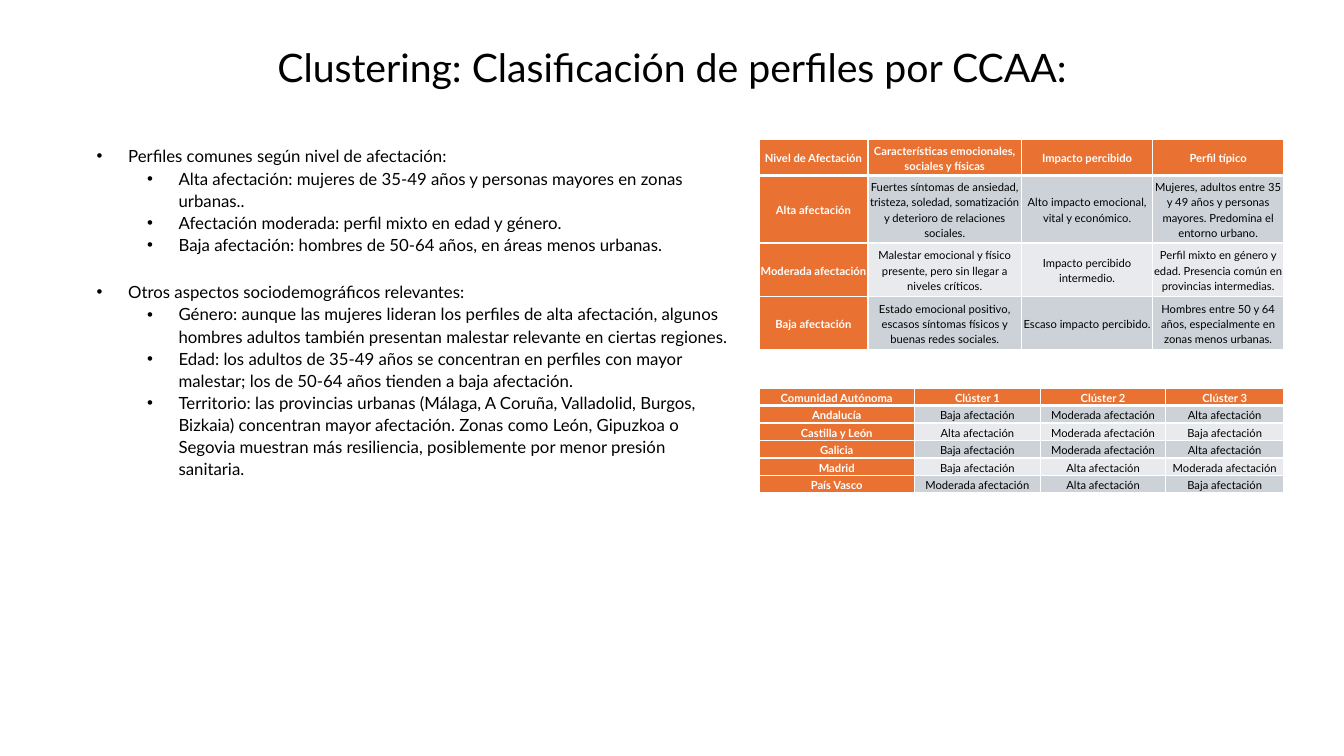
from lxml.etree import SubElement
from pptx import Presentation
from pptx.dml.color import RGBColor
from pptx.enum.text import MSO_ANCHOR, PP_ALIGN
from pptx.oxml.ns import qn
from pptx.util import Pt

FONT = "Lato"
BLACK = "000000"
WHITE = "FFFFFF"
ORANGE = "E97132"
BANDS = ["CCD2D8", "E8EAED"]
SECTION_GAP = 18

PROFILE_NOTES = [
    ("Perfiles comunes según nivel de afectación:", [
        "Alta afectación: mujeres de 35-49 años y personas mayores en zonas urbanas..",
        "Afectación moderada: perfil mixto en edad y género.",
        "Baja afectación: hombres de 50-64 años, en áreas menos urbanas.",
    ]),
    ("Otros aspectos sociodemográficos relevantes:", [
        "Género: aunque las mujeres lideran los perfiles de alta afectación, algunos "
        "hombres adultos también presentan malestar relevante en ciertas regiones.",
        "Edad: los adultos de 35-49 años se concentran en perfiles con mayor malestar; "
        "los de 50-64 años tienden a baja afectación.",
        "Territorio: las provincias urbanas (Málaga, A Coruña, Valladolid, Burgos, Bizkaia) "
        "concentran mayor afectación. Zonas como León, Gipuzkoa o Segovia muestran más "
        "resiliencia, posiblemente por menor presión sanitaria.",
    ]),
]

LEVEL_ROWS = [
    ["Nivel de Afectación", "Características emocionales, sociales y físicas",
     "Impacto percibido", "Perfil típico"],
    ["Alta afectación",
     "Fuertes síntomas de ansiedad, tristeza, soledad, somatización y deterioro de "
     "relaciones sociales.",
     "Alto impacto emocional, vital y económico.",
     "Mujeres, adultos entre 35 y 49 años y personas mayores. Predomina el entorno urbano."],
    ["Moderada afectación",
     "Malestar emocional y físico presente, pero sin llegar a niveles críticos.",
     "Impacto percibido intermedio.",
     "Perfil mixto en género y edad. Presencia común en provincias intermedias."],
    ["Baja afectación",
     "Estado emocional positivo, escasos síntomas físicos y buenas redes sociales.",
     "Escaso impacto percibido.",
     "Hombres entre 50 y 64 años, especialmente en zonas menos urbanas."],
]

LOW, MODERATE, HIGH = "Baja afectación", "Moderada afectación", "Alta afectación"
CLUSTER_ROWS = [
    ["Comunidad Autónoma", "Clúster 1", "Clúster 2", "Clúster 3"],
    ["Andalucía", LOW, MODERATE, HIGH],
    ["Castilla y León", HIGH, MODERATE, LOW],
    ["Galicia", LOW, MODERATE, HIGH],
    ["Madrid", LOW, HIGH, MODERATE],
    ["País Vasco", MODERATE, HIGH, LOW],
]


def color(value):
    """Turn a hex string into a colour."""
    return RGBColor.from_string(value)


def format_paragraph(paragraph, size, hex_color, spacing, bold=False):
    """Set line spacing and the font of every run."""
    paragraph.line_spacing = spacing
    for run in paragraph.runs:
        run.font.name = FONT
        run.font.size = Pt(size)
        run.font.bold = bold
        run.font.color.rgb = color(hex_color)


def add_text_box(slide, left, top, width, height):
    """Add a wrapping text box and return its text frame."""
    text_frame = slide.shapes.add_textbox(Pt(left), Pt(top), Pt(width), Pt(height)).text_frame
    text_frame.word_wrap = True
    return text_frame


def add_title(slide, text):
    """Add the centred title, anchored to the bottom of its box."""
    text_frame = add_text_box(slide, 0, -57.6, 960, 126)
    text_frame.vertical_anchor = MSO_ANCHOR.BOTTOM
    text_frame.text = text
    paragraph = text_frame.paragraphs[0]
    paragraph.alignment = PP_ALIGN.CENTER
    format_paragraph(paragraph, 28, BLACK, 0.9)


def format_bullet(paragraph, text, level):
    """Write one bulleted line at the given level."""
    paragraph.text = text
    paragraph.level = level
    properties = paragraph._p.get_or_add_pPr()
    properties.set("marL", str(Pt(22.5 + 36 * level)))
    properties.set("indent", str(Pt(-22.5)))
    SubElement(properties, qn("a:buFont"), typeface="Arial")
    SubElement(properties, qn("a:buChar"), char="•")
    format_paragraph(paragraph, 12, BLACK, 1.1)


def add_notes_list(slide, sections):
    """Add the two-level bulleted list."""
    text_frame = add_text_box(slide, 62, 99.4, 468, 427.6)
    for index, (heading, items) in enumerate(sections):
        paragraph = text_frame.add_paragraph() if index else text_frame.paragraphs[0]
        format_bullet(paragraph, heading, 0)
        if index:
            paragraph.space_before = Pt(SECTION_GAP)
        for item in items:
            format_bullet(text_frame.add_paragraph(), item, 1)


def add_border(cell, side, width):
    """Draw a white border on one side of a cell."""
    line = SubElement(cell._tc.get_or_add_tcPr(), qn(f"a:ln{side}"), w=str(Pt(width)))
    SubElement(SubElement(line, qn("a:solidFill")), qn("a:srgbClr"), val=WHITE)


def format_cell(cell, text, row, column):
    """Fill a cell according to its place in the table."""
    is_heading = row == 0 or column == 0
    cell.margin_left = cell.margin_right = cell.margin_top = cell.margin_bottom = Pt(0.7)
    cell.vertical_anchor = MSO_ANCHOR.MIDDLE
    for side in "LRTB":
        below_header = (row, side) in [(0, "B"), (1, "T")]
        add_border(cell, side, 3 if below_header else 1)
    cell.fill.solid()
    cell.fill.fore_color.rgb = color(ORANGE if is_heading else BANDS[(row - 1) % 2])
    cell.text_frame.text = text
    paragraph = cell.text_frame.paragraphs[0]
    paragraph.alignment = PP_ALIGN.CENTER
    format_paragraph(paragraph, 8, WHITE if is_heading else BLACK, 1.15, is_heading)


def add_banded_table(slide, top, widths, heights, rows):
    """Add a table with orange headings and grey bands."""
    frame = slide.shapes.add_table(len(rows), len(widths), Pt(542.2), Pt(top),
                                   Pt(sum(widths)), Pt(sum(heights)))
    table = frame.table
    for column, width in zip(table.columns, widths):
        column.width = Pt(width)
    for row, height in zip(table.rows, heights):
        row.height = Pt(height)
    for row, texts in enumerate(rows):
        for column, text in enumerate(texts):
            format_cell(table.cell(row, column), text, row, column)


def main():
    """Build the slide and save it."""
    presentation = Presentation()
    presentation.slide_width, presentation.slide_height = Pt(960), Pt(540)
    slide = presentation.slides.add_slide(presentation.slide_layouts[6])
    add_title(slide, "Clustering: Clasificación de perfiles por CCAA:")
    add_notes_list(slide, PROFILE_NOTES)
    add_banded_table(slide, 99.4, [77.8, 109.8, 93.6, 93.6], [26, 48.2, 38.2, 38.2], LEVEL_ROWS)
    add_banded_table(slide, 277.2, [111, 90, 89.6, 84.2], [12.5] * 6, CLUSTER_ROWS)
    presentation.save("out.pptx")


if __name__ == "__main__":
    main()
